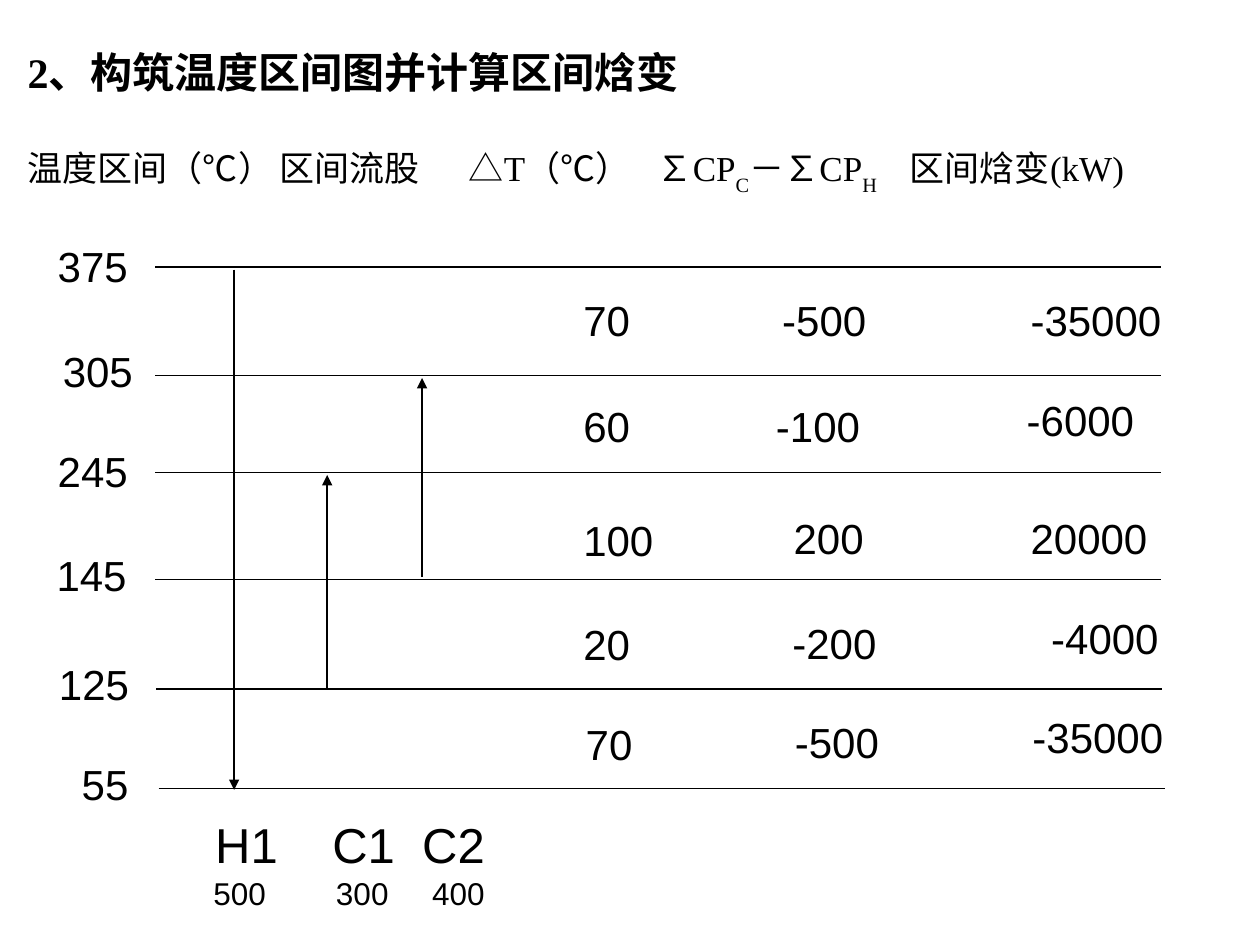
"""Build the temperature interval diagram slide with interval enthalpy changes."""
from lxml import etree
from pptx import Presentation
from pptx.dml.color import RGBColor
from pptx.enum.shapes import MSO_CONNECTOR
from pptx.enum.text import MSO_ANCHOR, MSO_AUTO_SIZE, PP_ALIGN
from pptx.oxml.ns import qn
from pptx.util import Pt

STRAIGHT = MSO_CONNECTOR.STRAIGHT
TOP, MIDDLE = MSO_ANCHOR.TOP, MSO_ANCHOR.MIDDLE
LEFT = PP_ALIGN.LEFT
NO_FIT = MSO_AUTO_SIZE.NONE

THEME = {
    "ink": RGBColor(0, 0, 0),
    "serif": "Times New Roman",
    "sans": "Arial",
    "title": 24,
    "header": 20,
    "value": 24,
    "stream": 28,
    "capacity": 18,
    "rule": 0.75,
    "arrow": 1.25,
}


def add_run(p, text, face, size, bold=False):
    r = p.add_run()
    r.text = text
    r.font.name = THEME[face]
    r.font.size = Pt(THEME[size])
    r.font.bold = bold
    r.font.color.rgb = THEME["ink"]
    return r


def add_line(x1, y1, x2, y2, weight, arrow=False):
    c = s.shapes.add_connector(STRAIGHT, Pt(x1), Pt(y1), Pt(x2), Pt(y2))
    c.line.color.rgb = THEME["ink"]
    c.line.width = Pt(THEME[weight])
    sp_pr = c._element.spPr
    if arrow:
        etree.SubElement(sp_pr.find(qn("a:ln")), qn("a:tailEnd"), type="triangle")
    etree.SubElement(sp_pr, qn("a:effectLst"))


prs = Presentation()
prs.slide_width, prs.slide_height = Pt(720), Pt(540)
s = prs.slides.add_slide(prs.slide_layouts[1])

title, body = s.shapes.title, s.placeholders[1]
frames = [(title, 20, 692, 42, MIDDLE), (body, 84, 655, 60, TOP)]
for sp, top, width, height, anchor in frames:
    sp.left, sp.top, sp.width, sp.height = Pt(8.64), Pt(top), Pt(width), Pt(height)
    tf = sp.text_frame
    tf.word_wrap = True
    tf.auto_size = NO_FIT
    tf.vertical_anchor = anchor
    tf.margin_top = tf.margin_bottom = 0
    tf.paragraphs[0].alignment = LEFT
add_run(title.text_frame.paragraphs[0], "2、构筑温度区间图并计算区间焓变", "serif", "title", True)

p = body.text_frame.paragraphs[0]
p_pr = p._p.get_or_add_pPr()
p_pr.set("marL", "0")
p_pr.set("indent", "0")
etree.SubElement(p_pr, qn("a:buNone"))
tabs = etree.SubElement(p_pr, qn("a:tabLst"))
for x in (154, 260.5, 384, 554):
    etree.SubElement(tabs, qn("a:tab"), pos=str(Pt(x)), algn="l")
p.space_before = Pt(0)
p.line_spacing = Pt(28)
header = [
    ("温度区间（℃）\t区间流股\t△T（℃）\t∑CP", False),
    ("C", True),
    ("－∑CP", False),
    ("H", True),
    ("\t区间焓变(kW)", False),
]
for text, is_sub in header:
    r = add_run(p, text, "serif", "header")
    if is_sub:
        r.font._element.set("baseline", "-30000")

levels = [
    ("375", 25.9, 133.9, 88.6, 152.6),
    ("305", 28.8, 193.7, 88.6, 214.6),
    ("245", 25.9, 251.3, 88.6, 270),
    ("145", 25.2, 310.3, 88.6, 331.2),
    ("125", 26.6, 373, 89.3, 393.8),
    ("55", 39.6, 429.8, 90.7, 450.7),
]
intervals = [
    [("70", 326.2, 164.9), ("-500", 439.9, 164.9), ("-35000", 581.8, 164.9)],
    [("60", 326.2, 225.4), ("-100", 436.3, 225.4), ("-6000", 579.6, 221.8)],
    [("100", 326.2, 290.2), ("200", 446.4, 289.4), ("20000", 581.8, 289.4)],
    [("20", 326.2, 349.9), ("-200", 445.7, 349.2), ("-4000", 593.6, 346.3)],
    [("70", 327.6, 406.8), ("-500", 447.1, 406.1), ("-35000", 582.9, 403.2)],
]
streams = [
    ("H1", 115.9, "500", 114.8, 133.8, 154.1, 451.4),
    ("C1", 182.8, "300", 184.9, 187, 393.1, 271.4),
    ("C2", 234.2, "400", 239.9, 241.2, 329.8, 216),
]

labels = [(text, x, y, "value") for text, x, y, _, _ in levels]
labels += [(*cell, "value") for row in intervals for cell in row]
for _, _, _, x, y in levels:
    add_line(x, y, x + 574.8, y, "rule")
for name, name_x, capacity, capacity_x, x, start, end in streams:
    add_line(x, start, x, end, "arrow", True)
    labels += [(name, name_x, 462.2, "stream"), (capacity, capacity_x, 496.1, "capacity")]

for text, x, y, size in labels:
    width = 62 if len(text) < 4 else 110
    tf = s.shapes.add_textbox(Pt(x), Pt(y), Pt(width), Pt(THEME[size] * 1.5)).text_frame
    tf.word_wrap = True
    add_run(tf.paragraphs[0], text, "sans", size)

prs.save("out.pptx")
